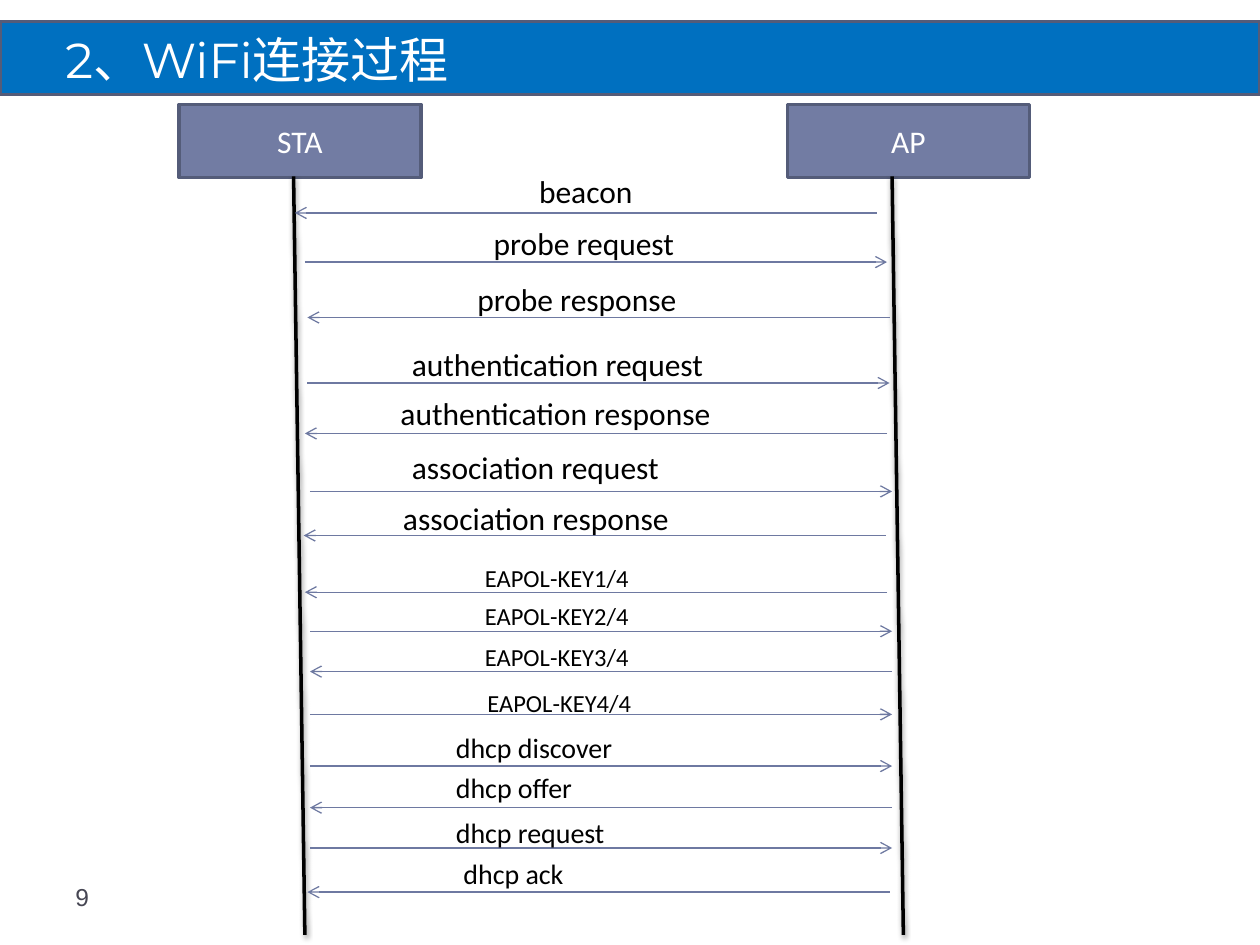
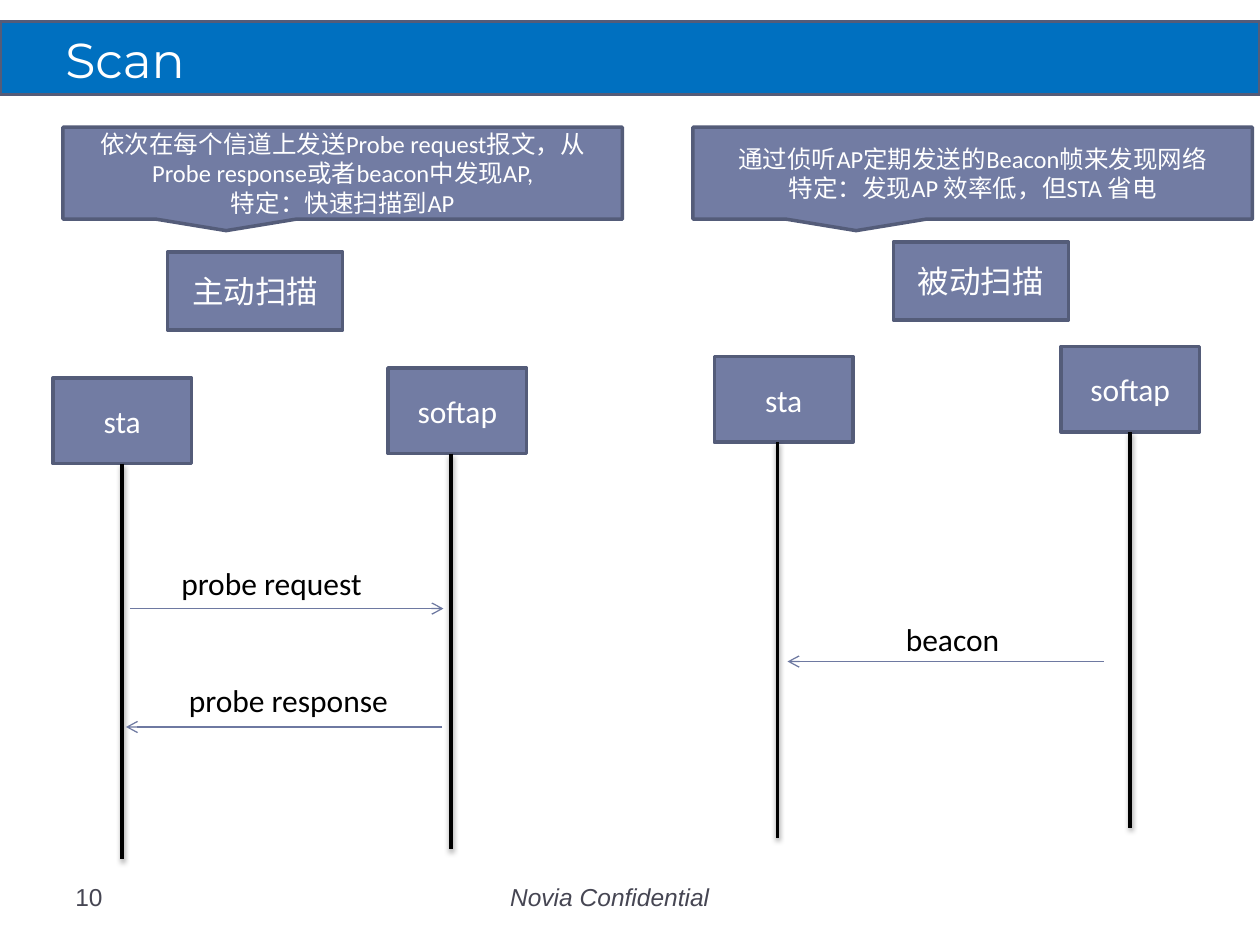
from lxml.etree import SubElement
from pptx import Presentation
from pptx.dml.color import RGBColor
from pptx.enum.shapes import MSO_CONNECTOR, MSO_SHAPE as Preset
from pptx.enum.text import MSO_ANCHOR as Anchor, MSO_AUTO_SIZE as AutoSize, PP_ALIGN as Align
from pptx.oxml.ns import qn
from pptx.util import Inches, Pt

COLORS = {"band": "0070C0", "box": "727CA3", "edge": "545C79", "arrow": "6E79A1",
          "black": "000000", "white": "FFFFFF", "footer": "464653"}
RGB = {name: RGBColor.from_string(value) for name, value in COLORS.items()}

# Grid of 100 columns by 75 rows with square cells
presentation = Presentation()
presentation.slide_width, presentation.slide_height = Inches(10), Inches(7.5)
CELL = presentation.slide_width / 100
LABEL_HEIGHT = {18: 4, 16: 3.7, 14: 3.4}


def add_text(slide, place, text, size, color="black", font="Calibri", preset=None,
             fill="box", align=Align.LEFT, anchor=Anchor.TOP, fit=False, italic=False):
    """Add a text box, or a filled shape with centred text when a preset is given."""
    place = [round(cells * CELL) for cells in place]
    if preset is None:
        shape = slide.shapes.add_textbox(*place)
    else:
        shape = slide.shapes.add_shape(preset, *place)
        shape.shadow.inherit = False
        shape.fill.solid()
        shape.fill.fore_color.rgb = RGB[fill]
        shape.line.color.rgb = RGB["edge"]
        shape.line.width = Pt(2)
        color, align, anchor = "white", Align.CENTER, Anchor.MIDDLE
    frame = shape.text_frame
    frame.word_wrap = not fit
    frame.auto_size = AutoSize.SHAPE_TO_FIT_TEXT if fit else AutoSize.NONE
    frame.vertical_anchor = anchor
    frame.text = text
    for paragraph in frame.paragraphs:
        paragraph.alignment = align
        paragraph.font.name = font
        paragraph.font.size = Pt(size)
        paragraph.font.italic = italic
        paragraph.font.color.rgb = RGB[color]


def add_line(slide, start, end, arrow=True):
    """Add a thin message arrow, or a thick shadowed lifeline."""
    ends = [round(cells * CELL) for cells in (*start, *end)]
    line = slide.shapes.add_connector(MSO_CONNECTOR.STRAIGHT, *ends)
    line.line.color.rgb = RGB["arrow" if arrow else "black"]
    line.line.width = Pt(0.75 if arrow else 2)
    properties = line._element.spPr
    effects = SubElement(properties, qn("a:effectLst"))
    if arrow:
        SubElement(properties.find(qn("a:ln")), qn("a:tailEnd"), type="arrow")
    else:
        shadow = SubElement(effects, qn("a:outerShdw"), blurRad=str(Pt(3.1)),
                            dist=str(Pt(1.6)), dir="5400000", rotWithShape="0")
        shade = SubElement(shadow, qn("a:srgbClr"), val=COLORS["black"])
        SubElement(shade, qn("a:alpha"), val="38000")


# Shared title band and page number
slides = []
for number, title in ((9, "2、WiFi连接过程"), (10, "Scan")):
    slide = presentation.slides.add_slide(presentation.slide_layouts[6])
    add_text(slide, (0, 1.7, 100, 5.8), "", 18, preset=Preset.RECTANGLE, fill="band")
    add_text(slide, (4.2, 1.7, 90, 5.8), title, 28, "white", "Montserrat",
             anchor=Anchor.BOTTOM)
    add_text(slide, (5, 69.5, 21.7, 4), str(number), 14, "footer", "Arial")
    slides.append(slide)
connection_slide, scan_slide = slides

# Connection: the two stations and their lifelines
for name, box_left, line_left in (("STA", 14.2, 23.3), ("AP", 62.5, 70.8)):
    add_text(connection_slide, (box_left, 8.3, 19.2, 5.8), name, 18, preset=Preset.RECTANGLE)
    add_line(connection_slide, (line_left, 14), (line_left + 0.9, 74.2), arrow=False)

# Connection: label, size, label left, top and width, arrow left and row, direction
MESSAGE_SPAN = 46.2
messages = [
    ("beacon", 18, 41.8, 13.2, 9.5, 23.4, 16.9, "to STA"),
    ("probe request", 18, 38.2, 17.3, 18.2, 24.2, 20.8, "to AP"),
    ("probe response", 18, 36.9, 21.7, 19.5, 24.4, 25.2, "to STA"),
    ("authentication request", 18, 31.7, 26.9, 29.5, 24.4, 30.4, "to AP"),
    ("authentication response", 18, 30.8, 30.8, 30.8, 24.2, 34.4, "to STA"),
    ("association request", 18, 31.7, 35.1, 25.8, 24.6, 39, "to AP"),
    ("association response", 18, 31, 39.1, 27, 24.1, 42.5, "to STA"),
    ("EAPOL-KEY1/4", 14, 37.5, 44.2, 13.7, 24.2, 47, "to STA"),
    ("EAPOL-KEY2/4", 14, 37.5, 47.2, 13.7, 24.6, 50.1, "to AP"),
    ("EAPOL-KEY3/4", 14, 37.5, 50.5, 13.7, 24.6, 53.3, "to STA"),
    ("EAPOL-KEY4/4", 14, 37.7, 54.1, 13.7, 24.6, 56.7, "to AP"),
    ("dhcp discover", 16, 35.2, 57.5, 16.4, 24.6, 60.8, "to AP"),
    ("dhcp offer", 16, 35.2, 60.7, 13.1, 24.6, 64.1, "to STA"),
    ("dhcp request", 16, 35.2, 64.2, 15.3, 24.6, 67.3, "to AP"),
    ("dhcp ack", 16, 35.8, 67.5, 10.9, 24.4, 70.8, "to STA"),
]
for label, size, left, top, width, arrow_left, row, direction in messages:
    ends = [(arrow_left, row), (arrow_left + MESSAGE_SPAN, row)]
    if direction == "to STA":
        ends.reverse()
    add_line(connection_slide, *ends)
    add_text(connection_slide, (left, top, width, LABEL_HEIGHT[size]), label, size, fit=True)

# Scan: footer
add_text(scan_slide, (26.7, 69.5, 43.4, 4), "Novia Confidential", 14, "footer", "Arial",
         align=Align.CENTER, italic=True)

# Scan: callouts with the traits of each mode
for left, text in (
        (5, "依次在每个信道上发送Probe request报文，从Probe response或者beacon中发现AP,\n"
            "特定：快速扫描到AP"),
        (55, "通过侦听AP定期发送的Beacon帧来发现网络\n特定：发现AP 效率低，但STA 省电")):
    add_text(scan_slide, (left, 10.1, 44.4, 7.3), text, 14,
             preset=Preset.RECTANGULAR_CALLOUT)

# Scan: names of the modes
for name, left, top in (("主动扫描", 13.3, 20), ("被动扫描", 70.9, 19.2)):
    add_text(scan_slide, (left, top, 13.9, 6.2), name, 18, preset=Preset.RECTANGLE)

# Scan: stations, each with a lifeline below its box
for name, left, top, line_left in (("sta", 4.2, 30, 9.7), ("softap", 30.8, 29.2, 35.8),
                                   ("sta", 56.7, 28.3, 61.7), ("softap", 84.2, 27.5, 89.7)):
    add_text(scan_slide, (left, top, 11, 6.8), name, 18, preset=Preset.RECTANGLE)
    add_line(scan_slide, (line_left, top + 6.8), (line_left, top + 38.2), arrow=False)

# Scan: messages
for label, left, top, width, start, end, row in (
        ("probe request", 13.4, 44.3, 18.2, 10.3, 35.2, 48.3),
        ("probe response", 14, 53.6, 19.5, 35.1, 10, 57.7),
        ("beacon", 70.9, 48.7, 9.5, 87.6, 62.5, 52.5)):
    add_line(scan_slide, (start, row), (end, row))
    add_text(scan_slide, (left, top, width, LABEL_HEIGHT[18]), label, 18, fit=True)

presentation.save("out.pptx")
